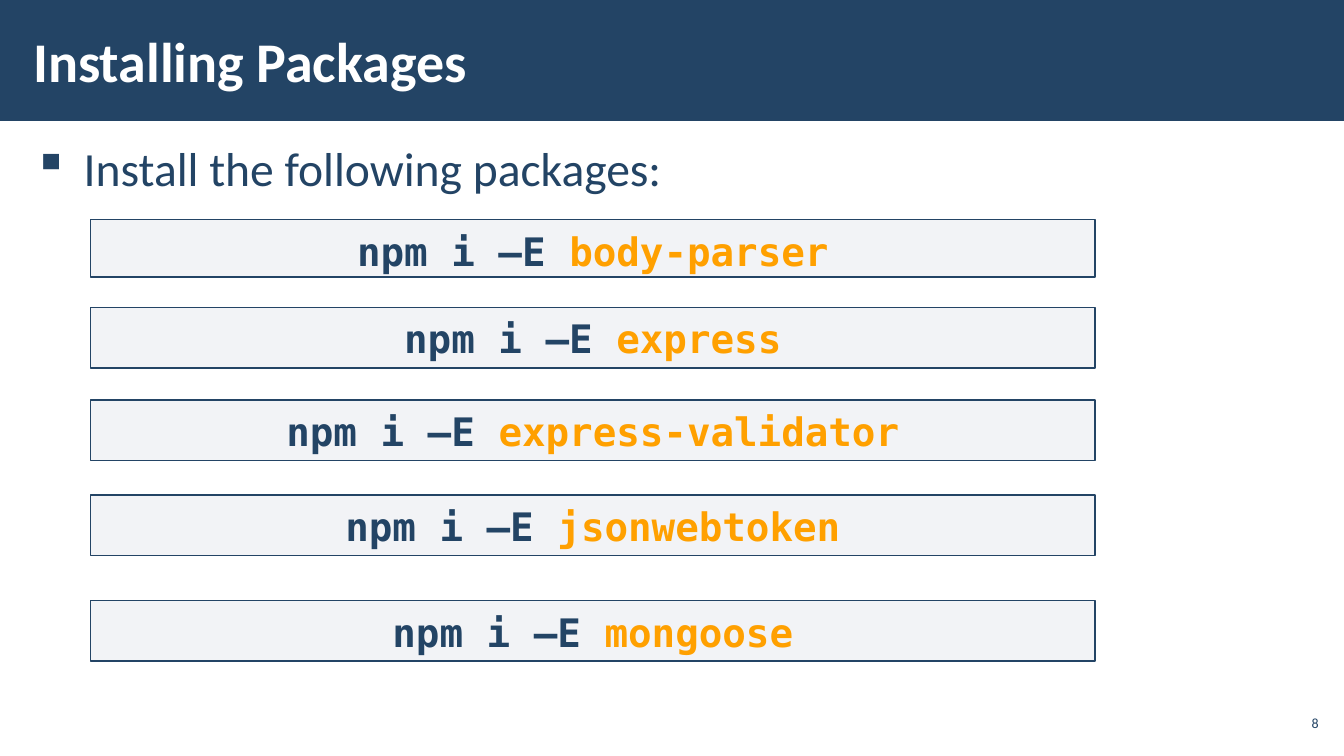
from dataclasses import dataclass

from lxml.etree import SubElement
from pptx import Presentation
from pptx.dml.color import RGBColor
from pptx.enum.shapes import MSO_SHAPE
from pptx.enum.text import MSO_ANCHOR, MSO_AUTO_SIZE, PP_ALIGN
from pptx.oxml.ns import qn
from pptx.util import Inches, Pt


@dataclass(frozen=True)
class Theme:
    """Colours, fonts and type sizes of the slide."""

    navy: RGBColor = RGBColor(0x23, 0x44, 0x65)
    orange: RGBColor = RGBColor(0xFF, 0xA0, 0x00)
    white: RGBColor = RGBColor(0xFF, 0xFF, 0xFF)
    panel: RGBColor = RGBColor(0xAD, 0xB4, 0xC3)
    panel_alpha: int = 15000
    prose_font: str = "Calibri"
    code_font: str = "DejaVu Sans Mono"
    title_size: Pt = Pt(40)
    body_size: Pt = Pt(34)
    code_size: Pt = Pt(28)
    number_size: Pt = Pt(10)


THEME = Theme()
COMMAND = "npm i –E "
PACKAGES = [
    ("body-parser", 2.18, 0.57),
    ("express", 3.05, 0.6),
    ("express-validator", 3.97, 0.6),
    ("jsonwebtoken", 4.91, 0.6),
    ("mongoose", 5.96, 0.6),
]


def apply_format(target, values):
    """Set every attribute named in values on target."""
    for name, value in values.items():
        setattr(target, name, value)


def add_run(paragraph, text, color, **font_format):
    """Append a coloured run to a paragraph."""
    run = paragraph.add_run()
    run.text = text
    run.font.color.rgb = color
    apply_format(run.font, font_format)


def add_panel(slide, left, top, width, height, color):
    """Add a filled rectangle without a shadow or an outline."""
    panel = slide.shapes.add_shape(
        MSO_SHAPE.RECTANGLE, Inches(left), Inches(top), Inches(width), Inches(height)
    )
    panel.shadow.inherit = False
    panel.fill.solid()
    panel.fill.fore_color.rgb = color
    panel.line.fill.background()
    return panel


def add_label(slide, left, top, width, height, side_inset, anchor):
    """Add a wrapping text box and return its first paragraph."""
    label = slide.shapes.add_textbox(
        Inches(left), Inches(top), Inches(width), Inches(height)
    )
    apply_format(label.text_frame, {
        "word_wrap": True,
        "vertical_anchor": anchor,
        "margin_left": Inches(side_inset),
        "margin_right": Inches(side_inset),
        "margin_top": Inches(0.04),
        "margin_bottom": Inches(0.04),
    })
    return label.text_frame.paragraphs[0]


def add_bullet(paragraph, symbol, indent):
    """Give a paragraph a hanging bullet."""
    properties = paragraph._p.get_or_add_pPr()
    properties.set("marL", str(Inches(indent)))
    properties.set("indent", str(-Inches(indent)))
    SubElement(properties, qn("a:buChar")).set("char", symbol)


def add_command(slide, package, top, height):
    """Add an outlined box with one install command."""
    box = add_panel(slide, 0.9, top, 9.96, height, THEME.panel)
    tint = box.fill._xPr.find(".//" + qn("a:srgbClr"))
    SubElement(tint, qn("a:alpha")).set("val", str(THEME.panel_alpha))
    box.line.color.rgb = THEME.navy
    box.line.width = Pt(1)
    apply_format(box.text_frame, {
        "word_wrap": True,
        "vertical_anchor": MSO_ANCHOR.TOP,
        "auto_size": MSO_AUTO_SIZE.SHAPE_TO_FIT_TEXT,
    })
    command = box.text_frame.paragraphs[0]
    apply_format(command, {"alignment": PP_ALIGN.CENTER, "line_spacing": 1.05})
    for text, color in ((COMMAND, THEME.navy), (package, THEME.orange)):
        add_run(command, text, color, name=THEME.code_font, size=THEME.code_size, bold=True)


def main():
    """Build the slide and save it."""
    deck = Presentation()
    apply_format(deck, {"slide_width": Inches(13.33), "slide_height": Inches(7.5)})
    slide = deck.slides.add_slide(deck.slide_layouts[6])

    add_panel(slide, 0, 0, 13.33, 1.2, THEME.navy)

    intro = add_label(slide, 0.21, 1.31, 12.92, 5.69, 0.12, MSO_ANCHOR.TOP)
    apply_format(intro, {"line_spacing": 1.05, "space_before": Pt(6), "space_after": Pt(6)})
    add_bullet(intro, "▪", 0.5)
    add_run(intro, "Install the following packages:", THEME.navy,
            name=THEME.prose_font, size=THEME.body_size)

    title = add_label(slide, 0.21, 0.11, 10.4, 0.97, 0.12, MSO_ANCHOR.MIDDLE)
    add_run(title, "Installing Packages", THEME.white,
            name=THEME.prose_font, size=THEME.title_size, bold=True)

    page_number = add_label(slide, 12.65, 7, 0.47, 0.34, 0.04, MSO_ANCHOR.MIDDLE)
    page_number.alignment = PP_ALIGN.RIGHT
    add_run(page_number, "8", THEME.navy, name=THEME.prose_font, size=THEME.number_size)

    for package, top, height in PACKAGES:
        add_command(slide, package, top, height)

    deck.save("out.pptx")


if __name__ == "__main__":
    main()
